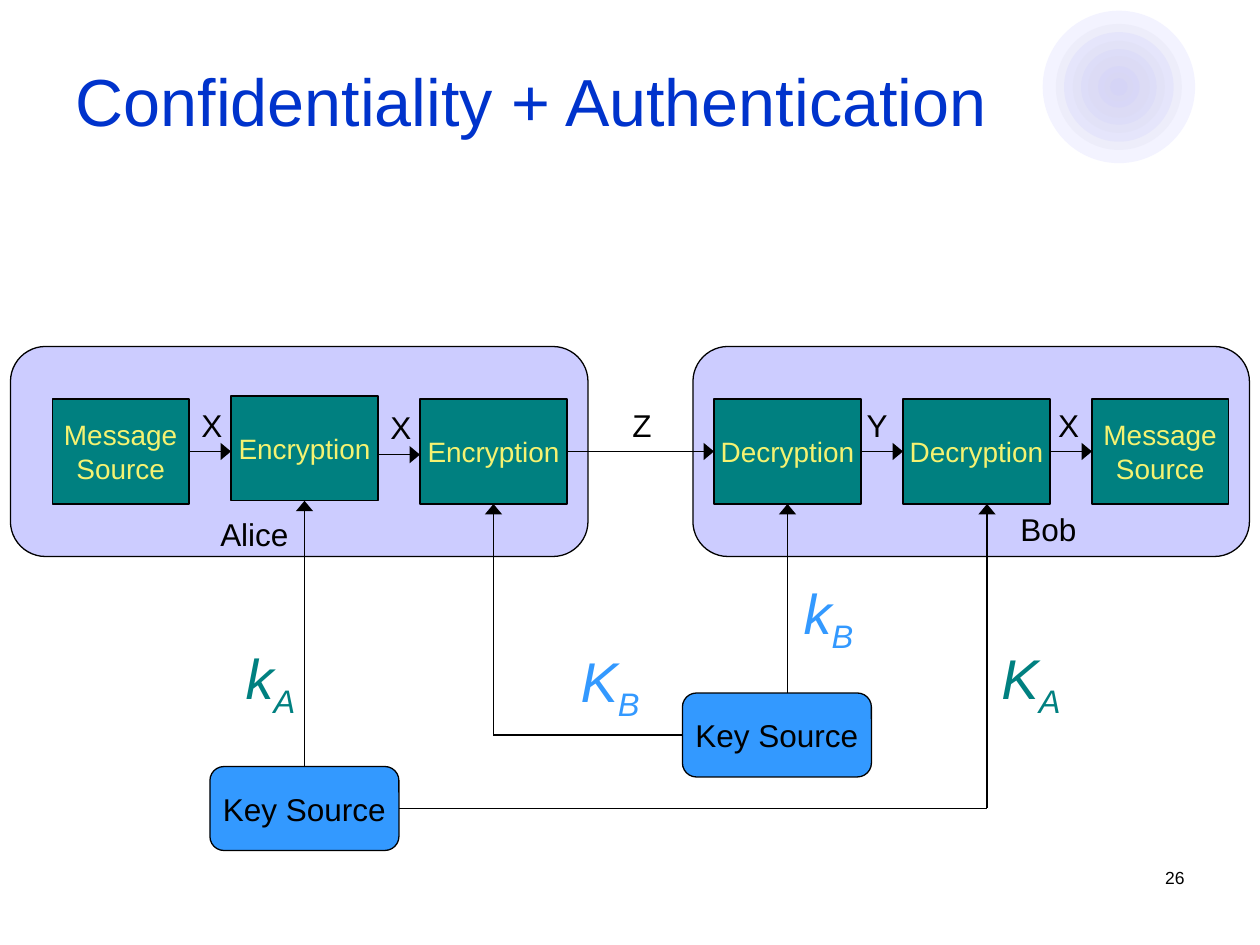
from lxml import etree
from pptx import Presentation
from pptx.dml.color import RGBColor
from pptx.enum.shapes import MSO_CONNECTOR, MSO_SHAPE
from pptx.enum.text import MSO_ANCHOR, MSO_AUTO_SIZE, PP_ALIGN
from pptx.oxml.ns import qn
from pptx.util import Inches, Pt

RECT, ROUND, OVAL = MSO_SHAPE.RECTANGLE, MSO_SHAPE.ROUNDED_RECTANGLE, MSO_SHAPE.OVAL
STRAIGHT, MIDDLE = MSO_CONNECTOR.STRAIGHT, MSO_ANCHOR.MIDDLE
GROW = MSO_AUTO_SIZE.SHAPE_TO_FIT_TEXT
LEFT, CENTER, RIGHT = PP_ALIGN.LEFT, PP_ALIGN.CENTER, PP_ALIGN.RIGHT
TOP_SIDE, LEFT_SIDE, BOTTOM_SIDE, RIGHT_SIDE = range(4)

FONT = "Arial"
BLACK, TEAL, BLUE, LILAC, YELLOW = "000000", "008080", "3399FF", "CCCCFF", "F5F271"
GRID = 12

TITLE = "Confidentiality + Authentication"
RING_CENTER = (8.88, 0.69)
RING_SIZES = [1.21, 1, 0.87, 0.73, 0.6, 0.49, 0.33, 0.23, 0.14]
RING_COLORS = [LILAC, "D9D8EC"]

PANELS = [(1, 33, 55, 20), (66, 33, 53, 20)]
BOXES = {
    "source": ("Message\nSource", 5, 38, 13),
    "encrypt_a": ("Encryption", 22, 37.7, 14),
    "encrypt_b": ("Encryption", 40, 38, 14),
    "decrypt_b": ("Decryption", 68, 38, 14),
    "decrypt_a": ("Decryption", 86, 38, 14),
    "target": ("Message\nSource", 104, 38, 13),
}
KEYS = {"key_a": (20, 73), "key_b": (65, 66)}
ARROWS = [
    (("source", RIGHT_SIDE), (22, 43), True),
    ((36, 43.3), (40, 43.3), True),
    (("encrypt_b", RIGHT_SIDE), ("decrypt_b", LEFT_SIDE), True),
    (("decrypt_b", RIGHT_SIDE), ("decrypt_a", LEFT_SIDE), True),
    (("decrypt_a", RIGHT_SIDE), ("target", LEFT_SIDE), True),
    (("key_a", TOP_SIDE), ("encrypt_a", BOTTOM_SIDE), True),
    (("key_a", RIGHT_SIDE), (94, 77), False),
    ((94, 77), (94, 48), True),
    (("key_b", LEFT_SIDE), (47, 70), False),
    ((47, 70), ("encrypt_b", BOTTOM_SIDE), True),
    ((75, 66), ("decrypt_b", BOTTOM_SIDE), True),
]
LABELS = [
    ("X", 1.5, 3.17, 0.36), ("X", 3, 3.19, 0.36), ("Z", 4.92, 3.17, 0.35),
    ("Y", 6.78, 3.17, 0.36), ("X", 8.3, 3.17, 0.36),
    ("Alice", 1.65, 4.04, 0.74), ("Bob", 8, 4, 0.66),
]
KEY_LABELS = [
    ("k", "A", TEAL, 1.85, 5.06, 0.59), ("K", "A", TEAL, 7.85, 5.06, 0.67),
    ("K", "B", BLUE, 4.51, 5.08, 0.67), ("k", "B", BLUE, 6.28, 4.54, 0.59),
]
PAGE = ("26", 7.17, 6.83, 2.33, 0.5)


def rgb(value):
    return RGBColor.from_string(value)


def write(tf, text, size, color, align=LEFT, wrap=False):
    tf.text = text
    tf.word_wrap = wrap
    for p in tf.paragraphs:
        p.alignment = align
        for r in p.runs:
            r.font.name, r.font.size = FONT, Pt(size)
            r.font.color.rgb = rgb(color)


def add_box(s, kind, box, fill, outlined=True):
    sp = s.shapes.add_shape(kind, *map(Inches, box))
    sp.shadow.inherit = False
    sp.fill.solid()
    sp.fill.fore_color.rgb = rgb(fill)
    if outlined:
        sp.line.color.rgb = rgb(BLACK)
        sp.line.width = Pt(0.75)
    else:
        sp.line.fill.background()
    return sp


def add_text(s, text, box, size, color, align=LEFT, wrap=False):
    tf = s.shapes.add_textbox(*map(Inches, box)).text_frame
    write(tf, text, size, color, align, wrap)
    if not wrap:
        tf.auto_size = GROW
    return tf


def on_grid(*values):
    return [v / GRID for v in values]


def add_arrow(s, shapes, start, end, head):
    points = [(0, 0) if p[0] in shapes else on_grid(*p) for p in (start, end)]
    c = s.shapes.add_connector(STRAIGHT, *(Inches(v) for p in points for v in p))
    for point, connect in ((start, c.begin_connect), (end, c.end_connect)):
        if point[0] in shapes:
            connect(shapes[point[0]], point[1])
    c.line.color.rgb = rgb(BLACK)
    c.line.width = Pt(0.75)
    if head:
        ln = c._element.spPr.find(qn("a:ln"))
        etree.SubElement(ln, qn("a:tailEnd"), type="triangle", w="lg", len="med")
    etree.SubElement(c._element.spPr, qn("a:effectLst"))


def main():
    """Build the confidentiality and authentication slide."""
    prs = Presentation()
    prs.slide_width, prs.slide_height = Inches(10), Inches(7.5)
    s = prs.slides.add_slide(prs.slide_layouts[5])

    for i, size in enumerate(RING_SIZES):
        corner = [v - size / 2 for v in RING_CENTER]
        ring = add_box(s, OVAL, (*corner, size, size), RING_COLORS[i % 2], False)
        color = ring._element.spPr.find(".//" + qn("a:srgbClr"))
        etree.SubElement(color, qn("a:alpha"), val="22000")

    title = s.shapes.title
    title.left, title.top, title.width, title.height = map(Inches, (0.5, 0.17, 9, 1.25))
    write(title.text_frame, TITLE, 38, "0033CC", wrap=True)
    title.text_frame.vertical_anchor = MIDDLE

    for panel in PANELS:
        add_box(s, ROUND, on_grid(*panel), LILAC)
    shapes = {}
    for name, (text, x, y, w) in BOXES.items():
        shapes[name] = add_box(s, RECT, on_grid(x, y, w, 10), TEAL)
        write(shapes[name].text_frame, text, 16, YELLOW, CENTER)
    for name, (x, y) in KEYS.items():
        shapes[name] = add_box(s, ROUND, on_grid(x, y, 18, 8), BLUE)
        write(shapes[name].text_frame, "Key Source", 18, BLACK, CENTER)
    for arrow in ARROWS:
        add_arrow(s, shapes, *arrow)

    for text, x, y, w in LABELS:
        add_text(s, text, (x, y, w, 0.4), 18, BLACK)
    for letter, sub, color, x, y, w in KEY_LABELS:
        tf = add_text(s, letter, (x, y, w, 0.71), 32, color)
        p = tf.paragraphs[0]
        r = p.add_run()
        r.text = sub
        r.font.name, r.font.size = FONT, Pt(32)
        r.font.color.rgb = rgb(color)
        r._r.get_or_add_rPr().set("baseline", "-25000")
        for run in p.runs:
            run.font.italic = True
    add_text(s, PAGE[0], PAGE[1:], 10, BLACK, RIGHT, True)
    prs.save("out.pptx")


if __name__ == "__main__":
    main()
